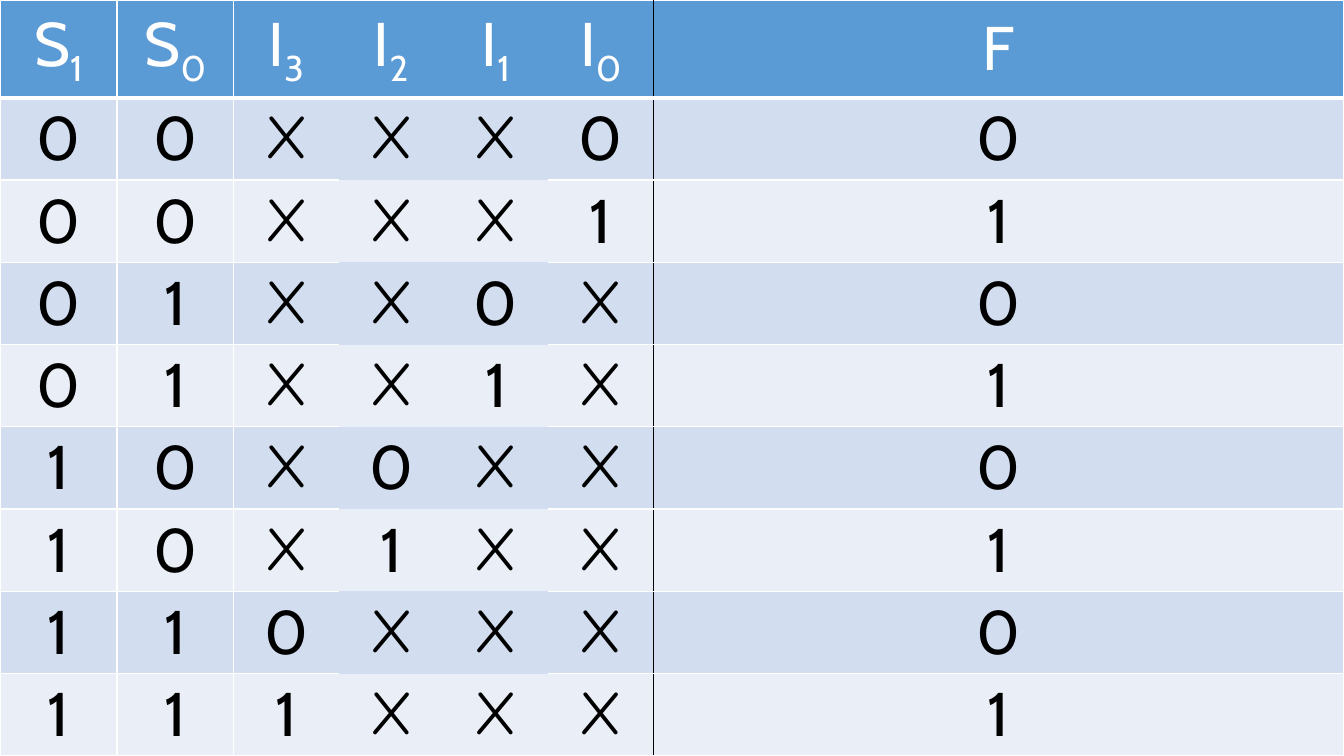
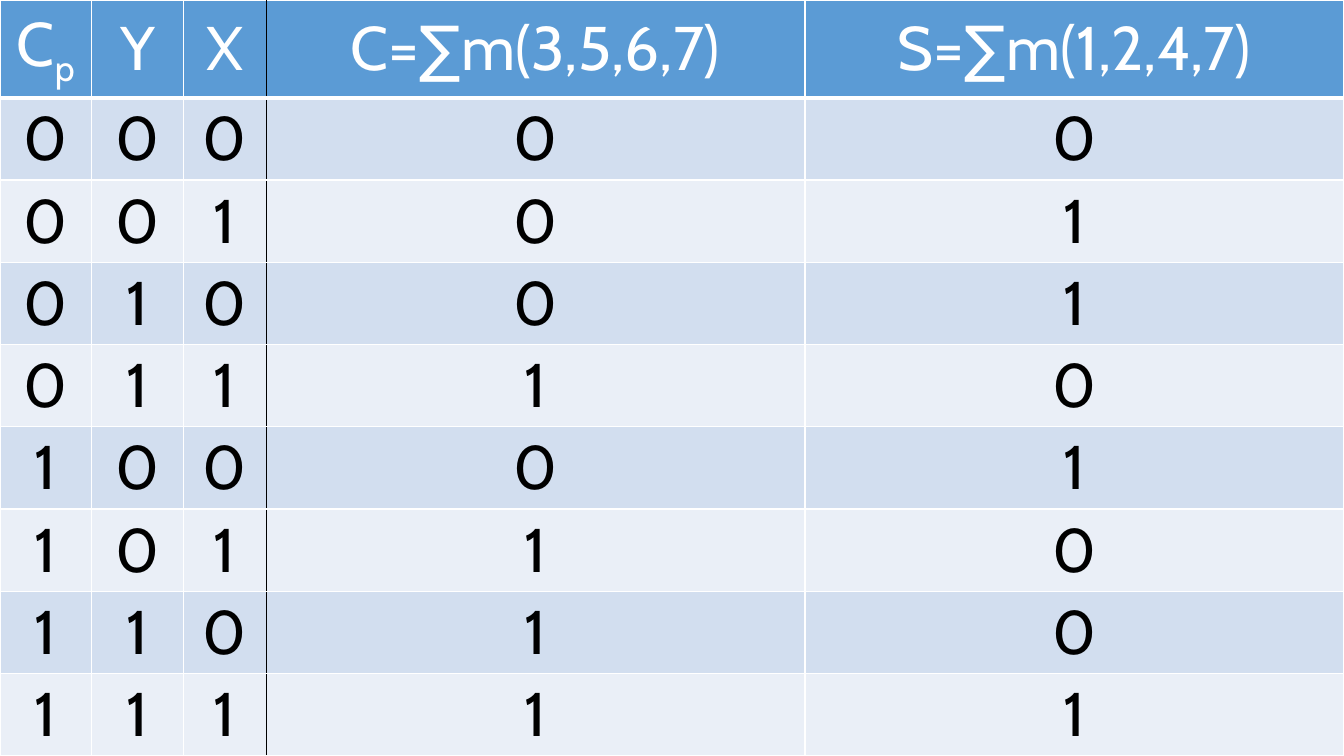
from lxml.etree import SubElement
from pptx import Presentation
from pptx.dml.color import RGBColor
from pptx.enum.text import MSO_ANCHOR as Anchor, PP_ALIGN as Align
from pptx.oxml.ns import qn
from pptx.util import Inches, Pt

WIDTH, HEIGHT = 13.33, 7.5
HEADER_HEIGHT = 0.97


def color(hex_string):
    return RGBColor.from_string(hex_string)


class TruthDeck:
    TEXT_FONT, CROSS_FONT, SIZE = "Cabin", "Comic Neue", 44
    BLUE, BANDS = "5B9BD5", ("D2DEEF", "EAEFF7")
    WHITE, BLACK = "FFFFFF", "000000"

    def __init__(self):
        self.deck = Presentation()
        self.deck.slide_width, self.deck.slide_height = Inches(WIDTH), Inches(HEIGHT)
        self.page = None

    def add_page(self):
        self.page = self.deck.slides.add_slide(self.deck.slide_layouts[6])

    def add_span(self, para, text, ink, font, subscript=False):
        span = para.add_run()
        span.text = text
        span.font.name, span.font.size = font, Pt(self.SIZE)
        span.font.bold = False
        span.font.color.rgb = color(ink)
        if subscript:
            span._r.get_or_add_rPr().set("baseline", "-25000")

    def add_border(self, cell, side, ink, points=1):
        """Draw one side (L, R, T or B); no ink means no line."""
        line = SubElement(cell._tc.get_or_add_tcPr(), qn(f"a:ln{side}"), w=str(Pt(points)))
        if ink:
            fill = SubElement(line, qn("a:solidFill"))
            SubElement(fill, qn("a:srgbClr"), val=ink)
        else:
            SubElement(line, qn("a:noFill"))

    def add_borders(self, cell, row, column, inputs, last_row, merged):
        """Put a black rule after the inputs and drop lines inside the merged columns."""
        def vertical(edge):
            if edge == inputs:
                return self.BLACK
            return None if edge in merged[1:] else self.WHITE

        def horizontal(edge):
            inside = column in merged[1:-1] and 1 < edge <= last_row
            return None if inside else self.WHITE

        self.add_border(cell, "L", vertical(column))
        self.add_border(cell, "R", vertical(column + 1))
        self.add_border(cell, "T", horizontal(row), 3 if row == 1 else 1)
        self.add_border(cell, "B", horizontal(row + 1), 3 if row == 0 else 1)

    def add_truth_table(self, headings, rows, input_widths, merged=()):
        """Fill the page with a table; outputs share the width left by the inputs."""
        inputs = len(input_widths)
        outputs = len(headings) - inputs
        output_width = (WIDTH - sum(input_widths)) / outputs
        widths = [*input_widths, *[output_width] * outputs]
        row_height = (HEIGHT - HEADER_HEIGHT) / len(rows)
        heights = [HEADER_HEIGHT, *[row_height] * len(rows)]
        table = self.page.shapes.add_table(
            len(heights), len(widths), 0, 0, Inches(WIDTH), Inches(HEIGHT)).table
        table.horz_banding = False
        for column, width in zip(table.columns, widths):
            column.width = Inches(width)
        for row, height in zip(table.rows, heights):
            row.height = Inches(height)

        for r, texts in enumerate([headings, *rows]):
            for c, text in enumerate(texts):
                cell = table.cell(r, c)
                self.add_borders(cell, r, c, inputs, len(rows), merged)
                cell.fill.solid()
                cell.fill.fore_color.rgb = color(self.BANDS[(r - 1) % 2] if r else self.BLUE)
                cell.vertical_anchor = Anchor.MIDDLE
                # Without these margins the large digits fit the row height.
                cell.margin_top = cell.margin_bottom = 0
                para = cell.text_frame.paragraphs[0]
                para.alignment = Align.CENTER
                if r:
                    font = self.CROSS_FONT if text == "X" else self.TEXT_FONT
                    self.add_span(para, text, self.BLACK, font)
                    continue
                base, _, index = text.partition("_")
                self.add_span(para, base, self.WHITE, self.TEXT_FONT)
                if index:
                    self.add_span(para, index, self.WHITE, self.TEXT_FONT, subscript=True)


def main():
    slides = TruthDeck()

    slides.add_page()
    slides.add_truth_table(
        ["S_1", "S_0", "I_3", "I_2", "I_1", "I_0", "F"],
        ["00XXX00", "00XXX11", "01XX0X0", "01XX1X1",
         "10X0XX0", "10X1XX1", "110XXX0", "111XXX1"],
        [1.16] * 2 + [1.04] * 4,
        merged=range(2, 6))

    slides.add_page()
    slides.add_truth_table(
        ["C_p", "Y", "X", "C=∑m(3,5,6,7)", "S=∑m(1,2,4,7)"],
        ["00000", "00101", "01001", "01110",
         "10001", "10110", "11010", "11111"],
        [0.91, 0.91, 0.82])

    slides.deck.save("out.pptx")


if __name__ == "__main__":
    main()
